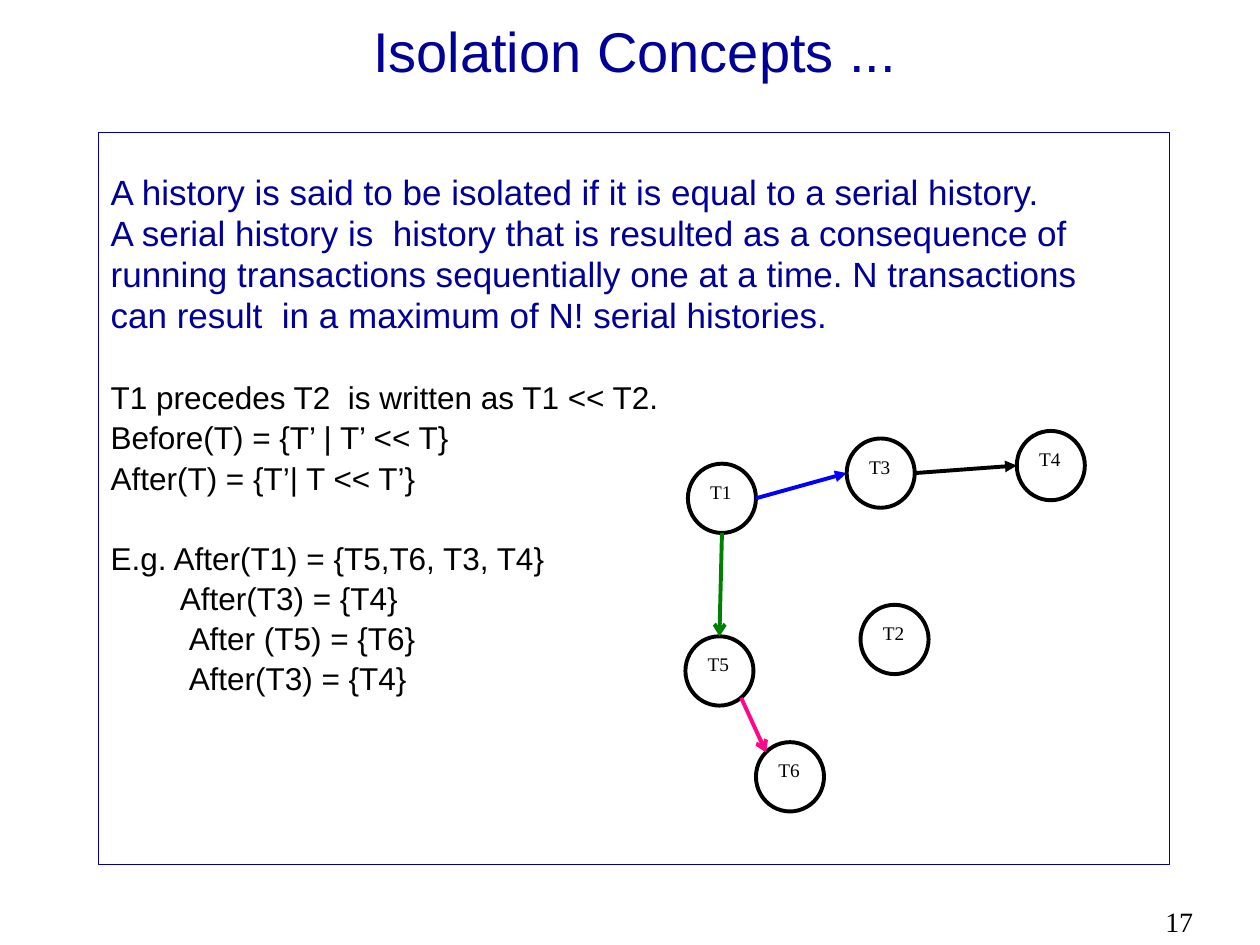
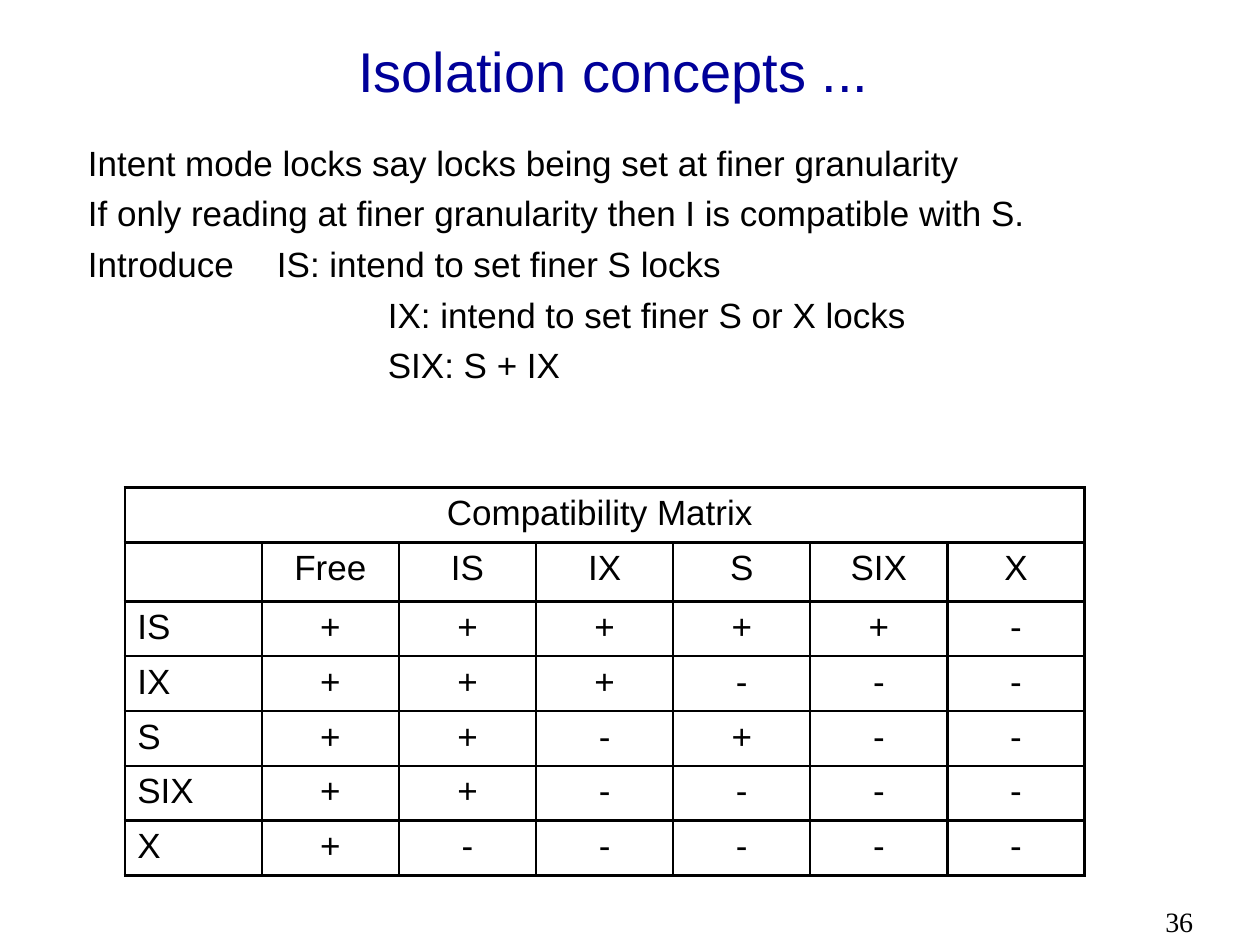
from dataclasses import dataclass

from lxml import etree
from pptx import Presentation
from pptx.dml.color import RGBColor
from pptx.enum import shapes, text
from pptx.oxml.ns import qn
from pptx.util import Inches, Pt

NAVY, BLACK = "000099", "000000"
SANS, SERIF = "Arial", "Times New Roman"
CIRCLE_WIDTH, CIRCLE_HEIGHT = 0.54, 0.55


@dataclass
class Line:
    content: str
    size: float = 20
    color: str = BLACK
    font: str = SANS
    before: float = 0
    spacing: float | None = None
    indent: float = 0
    tab: float | None = None
    centered: bool = False


@dataclass
class Transaction:
    name: str
    left: float
    top: float

    def point(self, across: float, down: float) -> tuple:
        """Position at the given fractions of the circle's width and height."""
        return (Inches(self.left + across * CIRCLE_WIDTH),
                Inches(self.top + down * CIRCLE_HEIGHT))


@dataclass
class Arrow:
    source: str
    start: tuple
    target: str
    end: tuple
    color: str
    head: str


TRANSACTIONS = [
    Transaction("T1", 5.46, 3.68), Transaction("T3", 6.72, 3.48),
    Transaction("T4", 8.07, 3.42), Transaction("T5", 5.44, 5.05),
    Transaction("T6", 6.00, 5.89), Transaction("T2", 6.83, 4.80),
]
TOP, LEFT, BOTTOM, RIGHT = (0.5, 0), (0, 0.5), (0.5, 1), (1, 0.5)
ARROWS = [
    Arrow("T1", RIGHT, "T3", LEFT, "0000FF", "triangle"),
    Arrow("T3", RIGHT, "T4", LEFT, BLACK, "triangle"),
    Arrow("T1", BOTTOM, "T5", TOP, "008000", "arrow"),
    Arrow("T5", (0.82, 0.89), "T6", (0.15, 0.15), "FF068B", "arrow"),
]

LOCK_MODES = ["Free", "IS", "IX", "S", "SIX", "X"]
COMPATIBILITY = {
    "IS": "+++++-",
    "IX": "+++---",
    "S": "++-+--",
    "SIX": "++----",
    "X": "+-----",
}


def rgb(color: str) -> RGBColor:
    return RGBColor.from_string(color)


def write_lines(frame, lines: list[Line]) -> None:
    """Write one paragraph for each line into a text frame or cell."""
    for number, line in enumerate(lines):
        paragraph = frame.add_paragraph() if number else frame.paragraphs[0]
        paragraph.text = line.content
        properties = paragraph._p.get_or_add_pPr()
        properties.set("marL", str(Inches(line.indent)))
        properties.set("indent", "0")
        if line.tab is not None:
            stops = etree.SubElement(properties, qn("a:tabLst"))
            etree.SubElement(stops, qn("a:tab"), pos=str(Inches(line.tab)), algn="l")
        paragraph.alignment = (text.PP_ALIGN.CENTER if line.centered
                               else text.PP_ALIGN.LEFT)
        if number:
            paragraph.space_before = Pt(line.before)
        if line.spacing:
            paragraph.line_spacing = Pt(line.spacing)
        paragraph.font.size = Pt(line.size)
        paragraph.font.name = line.font
        paragraph.font.color.rgb = rgb(line.color)


def add_text(slide, left: float, top: float, width: float, height: float,
             lines: list[Line], inset_top: float = 0.05):
    box = slide.shapes.add_textbox(
        Inches(left), Inches(top), Inches(width), Inches(height))
    box.text_frame.word_wrap = True
    box.text_frame.margin_top = Inches(inset_top)
    write_lines(box.text_frame, lines)
    return box


def add_titled_slide(presentation, title: str, left: float, top: float,
                     spacing: float, page: str):
    """Start a slide with the shared title style and page number."""
    slide = presentation.slides.add_slide(presentation.slide_layouts[5])
    heading = slide.shapes.title
    heading.left, heading.top = Inches(left), Inches(top)
    heading.width, heading.height = Inches(8.5), Inches(0.69)
    heading.text_frame.auto_size = text.MSO_AUTO_SIZE.NONE
    heading.text_frame.vertical_anchor = text.MSO_ANCHOR.MIDDLE
    write_lines(heading.text_frame,
                [Line(title, 32, NAVY, spacing=spacing, centered=True)])
    add_text(slide, 9.15, 7.13, 0.85, 0.37, [Line(page, 16, font=SERIF)])
    return slide


def add_transaction(slide, transaction: Transaction) -> None:
    circle = slide.shapes.add_shape(
        shapes.MSO_SHAPE.OVAL, *transaction.point(0, 0),
        Inches(CIRCLE_WIDTH), Inches(CIRCLE_HEIGHT))
    circle.shadow.inherit = False
    circle.fill.background()
    circle.line.color.rgb = rgb(BLACK)
    circle.line.width = Pt(2.25)
    circle.text_frame.vertical_anchor = text.MSO_ANCHOR.TOP
    write_lines(circle.text_frame, [Line(transaction.name, 11, font=SERIF)])


def add_arrow(slide, arrow: Arrow, places: dict[str, Transaction]) -> None:
    connector = slide.shapes.add_connector(
        shapes.MSO_CONNECTOR.STRAIGHT,
        *places[arrow.source].point(*arrow.start),
        *places[arrow.target].point(*arrow.end))
    connector.line.color.rgb = rgb(arrow.color)
    connector.line.width = Pt(2.25)
    etree.SubElement(connector.line._get_or_add_ln(), qn("a:tailEnd"),
                     type=arrow.head)
    etree.SubElement(connector._element.spPr, qn("a:effectLst"))


def outline_cell(cell) -> None:
    properties = cell._tc.get_or_add_tcPr()
    for side in ("lnL", "lnR", "lnT", "lnB"):
        border = etree.SubElement(properties, qn(f"a:{side}"), w=str(Pt(1.5)))
        fill = etree.SubElement(border, qn("a:solidFill"))
        etree.SubElement(fill, qn("a:srgbClr"), val=BLACK)
    cell.fill.background()


def add_matrix(slide) -> None:
    rows = [["Compatibility Matrix "] + [""] * len(LOCK_MODES), [""] + LOCK_MODES]
    rows += [[mode, *marks] for mode, marks in COMPATIBILITY.items()]
    width, height, heading_height = 7.62, 3.08, 0.47
    table = slide.shapes.add_table(
        len(rows), len(rows[0]), Inches(0.99), Inches(3.87),
        Inches(width), Inches(height)).table
    table.first_row = table.horz_banding = False
    for column in table.columns:
        column.width = Inches(width / len(rows[0]))
    for row in table.rows:
        row.height = Inches((height - heading_height) / (len(rows) - 1))
    table.rows[1].height = Inches(heading_height)
    for row_number, row in enumerate(rows):
        for column_number, content in enumerate(row):
            cell = table.cell(row_number, column_number)
            outline_cell(cell)
            centered = row_number == 0 or column_number > 0
            write_lines(cell.text_frame, [Line(content, centered=centered)])
    table.cell(0, 0).merge(table.cell(0, len(LOCK_MODES)))


def build_history_slide(presentation) -> None:
    slide = add_titled_slide(
        presentation, "Isolation Concepts ...", 0.79, 0.19, 18.4, "17")

    # Framed definitions; larger gaps separate the three groups
    pitch = 18.4
    definitions = [
        "A history is said to be isolated if it is equal to a serial history.",
        "A serial history is  history that is resulted as a consequence of",
        "running transactions sequentially one at a time. N transactions",
        "can result  in a maximum of N! serial histories.",
    ]
    notation = [
        ("T1 precedes T2  is written as T1 << T2.", 27.9, 0),
        ("Before(T) = {T’ | T’ << T}", 4.5, 0),
        ("After(T) = {T’| T << T’}", 4.5, 0),
        ("E.g. After(T1) = {T5,T6, T3, T4}", 27.4, 0),
        ("After(T3) = {T4}", 4.5, 0.55),
        ("After (T5) = {T6}", 4.5, 0.62),
        ("After(T3) = {T4}", 4.5, 0.62),
    ]
    lines = [Line(content, color=NAVY, before=5, spacing=pitch)
             for content in definitions]
    lines += [Line(content, 18, before=before, spacing=pitch, indent=indent)
              for content, before, indent in notation]
    panel = add_text(slide, 0.78, 1.05, 8.5, 5.81, lines, inset_top=0.38)
    panel.line.color.rgb = rgb(NAVY)
    panel.line.width = Pt(0.75)

    # Precedence graph
    for transaction in TRANSACTIONS:
        add_transaction(slide, transaction)
    places = {transaction.name: transaction for transaction in TRANSACTIONS}
    for arrow in ARROWS:
        add_arrow(slide, arrow, places)


def build_lock_slide(presentation) -> None:
    slide = add_titled_slide(
        presentation, "Isolation concepts ...", 0.62, 0.2, 40, "36")

    # Intent lock rules
    rules = [
        ("Intent mode locks say locks being set at finer granularity", 0, None),
        ("If only reading at finer granularity then I is compatible with S.", 0, None),
        ("Introduce\tIS: intend to set finer S locks", 0, 1.38),
        ("IX: intend to set finer S or X locks", 2.38, None),
        ("SIX: S + IX", 2.38, None),
    ]
    add_text(slide, 0.6, 1.07, 7.87, 2.1,
             [Line(content, before=5, spacing=24, indent=indent, tab=tab)
              for content, indent, tab in rules])
    add_matrix(slide)


def main() -> None:
    presentation = Presentation()
    presentation.slide_width, presentation.slide_height = Inches(10), Inches(7.5)
    build_history_slide(presentation)
    build_lock_slide(presentation)
    presentation.save("out.pptx")


if __name__ == "__main__":
    main()
